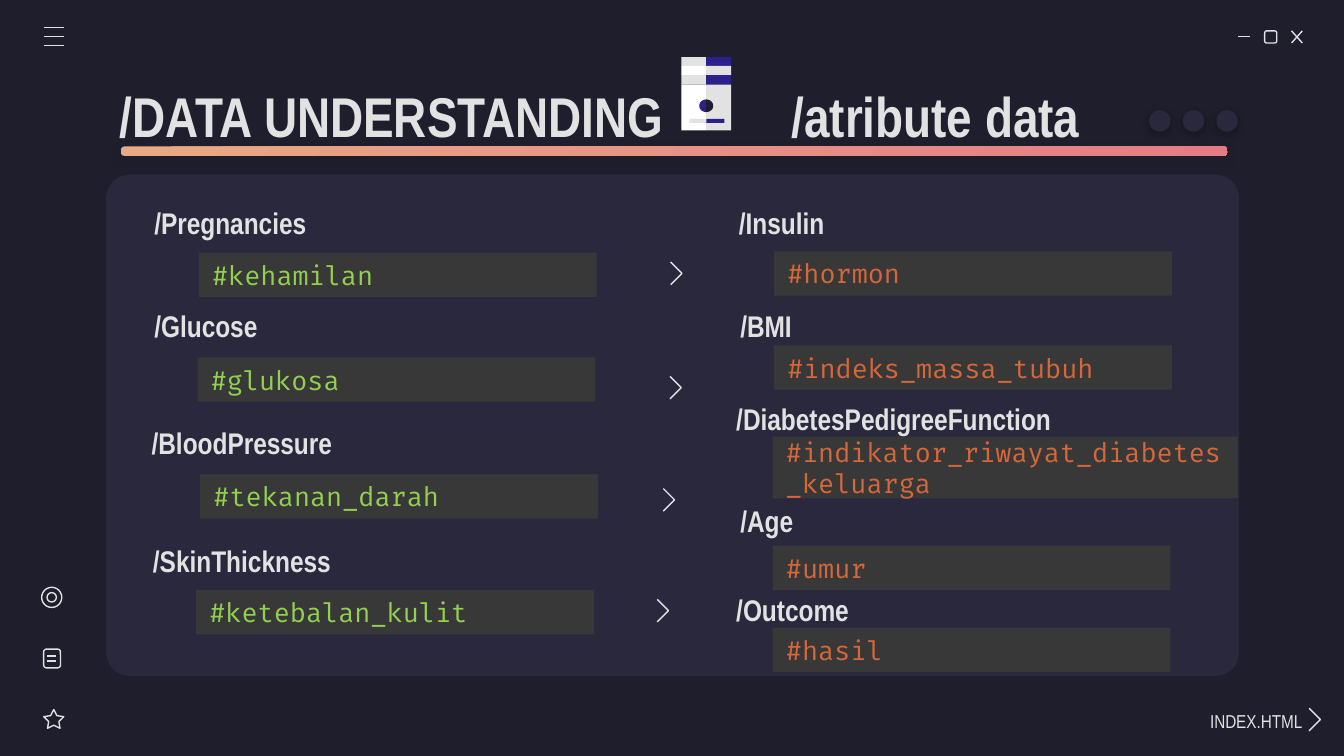
import math

from lxml import etree
from pptx import Presentation, util as u
from pptx.dml import color
from pptx.enum import shapes, text
from pptx.oxml import ns

KIND = shapes.MSO_SHAPE
COLUMNS = 100
LABEL_FONT, CODE_FONT = "Arial Narrow", "Fira Code"
NIGHT, PANEL, TAG = "1E1E2C", "29283D", "383838"
LIGHT, WHITE, INDIGO = "E2E2E2", "FFFFFF", "2B218D"
GREEN, ORANGE = "92D050", "D56739"


def rgb(value):
    return color.RGBColor.from_string(value)


class Deck:
    def __init__(self):
        self.presentation = Presentation()
        self.presentation.slide_width = u.Inches(10)
        self.presentation.slide_height = u.Inches(10 * 9 / 16)
        self.cell = self.presentation.slide_width // COLUMNS
        self.slide = self.presentation.slides.add_slide(self.presentation.slide_layouts[0])
        self.shapes = self.slide.shapes
        background = self.slide.background.fill
        background.solid()
        background.fore_color.rgb = rgb(NIGHT)

    def grid(self, *cells):
        return [u.Emu(round(cell * self.cell)) for cell in cells]

    def group(self):
        self.shapes = self.slide.shapes.add_group_shape().shapes

    def ungroup(self):
        self.shapes = self.slide.shapes

    def outline(self, shape):
        shape.line.color.rgb = rgb(LIGHT)
        shape.line.width = u.Pt(0.75)

    def paint(self, shape, fill=None):
        shape.shadow.inherit = False
        if fill:
            shape.fill.solid()
            shape.fill.fore_color.rgb = rgb(fill)
            shape.line.fill.background()
        else:
            shape.fill.background()
            self.outline(shape)
        return shape

    def shape(self, kind, box, fill=None, adjust=None):
        shape = self.paint(self.shapes.add_shape(kind, *self.grid(*box)), fill)
        if adjust is not None:
            shape.adjustments[0] = adjust
        return shape

    def line(self, start, end):
        connector = self.shapes.add_connector(
            shapes.MSO_CONNECTOR.STRAIGHT, *self.grid(*start, *end))
        self.outline(connector)
        etree.SubElement(connector._element.spPr, ns.qn("a:effectLst"))

    def free(self, points, fill=None, close=True):
        points = [self.grid(*point) for point in points]
        builder = self.shapes.build_freeform(*points[0])
        builder.add_line_segments(points[1:], close=close)
        return self.paint(builder.convert_to_shape(), fill)

    def chevron(self, left, top):
        self.free([(left, top), (left + 0.84, top + 0.84), (left, top + 1.68)], close=False)

    def shadow(self, shape, tint, opacity):
        effects = shape._element.spPr.find(ns.qn("a:effectLst"))
        outer = etree.SubElement(
            effects, ns.qn("a:outerShdw"), blurRad=str(u.Pt(4.5)), dist=str(u.Pt(1.5)),
            dir="5400000", algn="bl", rotWithShape="0")
        tone = etree.SubElement(outer, ns.qn("a:srgbClr"), val=tint)
        etree.SubElement(tone, ns.qn("a:alpha"), val=str(opacity * 1000))

    def add_words(self, shape, words, size, font, tint, bold=False,
                  align=text.PP_ALIGN.LEFT, right=1):
        frame = shape.text_frame
        frame.word_wrap = True
        frame.auto_size = text.MSO_AUTO_SIZE.NONE
        frame.vertical_anchor = text.MSO_ANCHOR.MIDDLE
        frame.margin_left, frame.margin_top, frame.margin_right, frame.margin_bottom = \
            self.grid(1, 1, right, 1)
        paragraph = frame.paragraphs[0]
        paragraph.alignment = align
        paragraph.space_before = u.Pt(0)
        run = paragraph.add_run()
        run.text = words
        run.font.size, run.font.name, run.font.bold = u.Pt(size), font, bold
        run.font.color.rgb = rgb(tint)
        return paragraph

    def placeholder(self, index, box, words, size, **style):
        shape = self.slide.placeholders[index]
        shape.left, shape.top, shape.width, shape.height = self.grid(*box)
        return self.add_words(shape, words, size, LABEL_FONT, LIGHT, **style)

    def tab_stop(self, paragraph, column):
        tabs = etree.SubElement(paragraph._p.get_or_add_pPr(), ns.qn("a:tabLst"))
        etree.SubElement(tabs, ns.qn("a:tab"), pos=str(self.grid(column)[0]), algn="l")

    def label(self, left, top, words, width=22.6):
        shape = self.shapes.add_textbox(*self.grid(left, top, width, 4.3))
        self.add_words(shape, words, 16, LABEL_FONT, LIGHT, bold=True)

    def tag(self, left, top, words, tint, width=29.6, height=3.3):
        shape = self.shape(KIND.RECTANGLE, (left, top, width, height), TAG)
        self.add_words(shape, words, 14, CODE_FONT, tint)


def draw_window(deck):
    deck.shape(KIND.ROUNDED_RECTANGLE, (7.9, 13, 84.3, 37.3), PANEL, 0.047)
    deck.group()
    deck.line((92.1, 2.7), (93, 2.7))
    deck.shape(KIND.ROUNDED_RECTANGLE, (94.1, 2.3, 0.9, 0.9))
    deck.line((96.1, 2.3), (96.9, 3.2))
    deck.line((96.9, 2.3), (96.1, 3.2))
    deck.group()
    for row in range(3):
        deck.line((3.25, 2.05 + row * 0.67), (4.75, 2.05 + row * 0.67))
    deck.group()
    deck.shape(KIND.STAR_5_POINT, (3.25, 52.8, 1.5, 1.4), adjust=0.254)
    deck.shape(KIND.ROUNDED_RECTANGLE, (3.25, 48.3, 1.25, 1.4))
    for row in (48.8, 49.2):
        deck.line((3.5, row), (4.2, row))
    for left, top, size in ((3.1, 43.7, 1.5), (3.5, 44.1, 0.7)):
        deck.shape(KIND.OVAL, (left, top, size, size))
    deck.ungroup()


def draw_server(deck):
    left, middle, right = 50.7, 52.55, 54.4
    bands = ((4.25, 4.9, LIGHT, INDIGO), (4.9, 5.6, WHITE, LIGHT),
             (5.6, 6.3, LIGHT, INDIGO), (6.3, 9.7, WHITE, LIGHT))
    deck.group()
    for top, bottom, left_fill, right_fill in bands:
        deck.shape(KIND.RECTANGLE, (left, top, middle - left, bottom - top), left_fill)
        deck.shape(KIND.RECTANGLE, (middle, top, right - middle, bottom - top), right_fill)
    for side, fill in ((-1, INDIGO), (1, NIGHT)):
        angles = [math.radians(step) for step in range(-90, 91, 10)]
        deck.free([(middle + side * 0.52 * math.cos(angle), 7.87 + 0.47 * math.sin(angle))
                   for angle in angles], fill)
    deck.shape(KIND.RECTANGLE, (51.3, 8.85, middle - 51.3, 0.3), LIGHT)
    deck.shape(KIND.RECTANGLE, (middle, 8.85, 53.9 - middle, 0.3), INDIGO)
    deck.ungroup()


def draw_header(deck):
    title = deck.placeholder(0, (7.9, 5.4, 78.8, 6.3),
                             "/DATA UNDERSTANDING\t/atribute data", 30, bold=True)
    deck.tab_stop(title, 50)
    footer = deck.placeholder(1, (85.2, 52, 11.7, 3), "INDEX.HTML", 10,
                              align=text.PP_ALIGN.RIGHT, right=0)
    footer.line_spacing = 1.15
    draw_server(deck)
    deck.group()
    for index in range(3):
        dot = deck.shape(KIND.OVAL, (85.5 + index * 2.5, 8.2, 1.6, 1.6), PANEL)
        deck.shadow(dot, "000000", 30)
    deck.ungroup()
    bar = deck.shape(KIND.ROUNDED_RECTANGLE, (9, 10.9, 82.3, 0.7), LIGHT, 0.374)
    bar.fill.gradient()
    bar.fill.gradient_angle = 315
    for stop, tint in zip(bar.fill.gradient_stops, ("E9A984", "E57C85")):
        stop.color.rgb = rgb(tint)
    deck.shadow(bar, NIGHT, 100)


def draw_attributes(deck):
    for tint, rows in (
            (GREEN, ((10.5, 14.4, "/Pregnancies", 14.8, 18.8, "#kehamilan"),
                     (10.5, 22.1, "/Glucose", 14.7, 26.6, "#glukosa"),
                     (10.3, 30.8, "/BloodPressure", 14.9, 35.3, "#tekanan_darah"),
                     (10.4, 39.6, "/SkinThickness", 14.6, 43.9, "#ketebalan_kulit"))),
            (ORANGE, ((54, 14.4, "/Insulin", 57.6, 18.7, "#hormon"),
                      (54.1, 22.1, "/BMI", 57.6, 25.7, "#indeks_massa_tubuh"),
                      (54.1, 36.6, "/Age", 57.5, 40.6, "#umur"),
                      (53.8, 43.2, "/Outcome", 57.5, 46.7, "#hasil")))):
        for left, top, words, tag_left, tag_top, meaning in rows:
            deck.label(left, top, words)
            deck.tag(tag_left, tag_top, meaning, tint)
    deck.label(53.8, 29, "/DiabetesPedigreeFunction", width=33)
    deck.tag(57.5, 32.5, "#indikator_riwayat_diabetes_keluarga", ORANGE, 34.6, 4.6)
    for left, top in ((49.9, 19.5), (49.85, 28), (49.35, 36.35), (48.9, 44.6), (97.4, 52.7)):
        deck.chevron(left, top)


def main():
    deck = Deck()
    draw_window(deck)
    draw_header(deck)
    draw_attributes(deck)
    deck.presentation.save("out.pptx")


if __name__ == "__main__":
    main()
